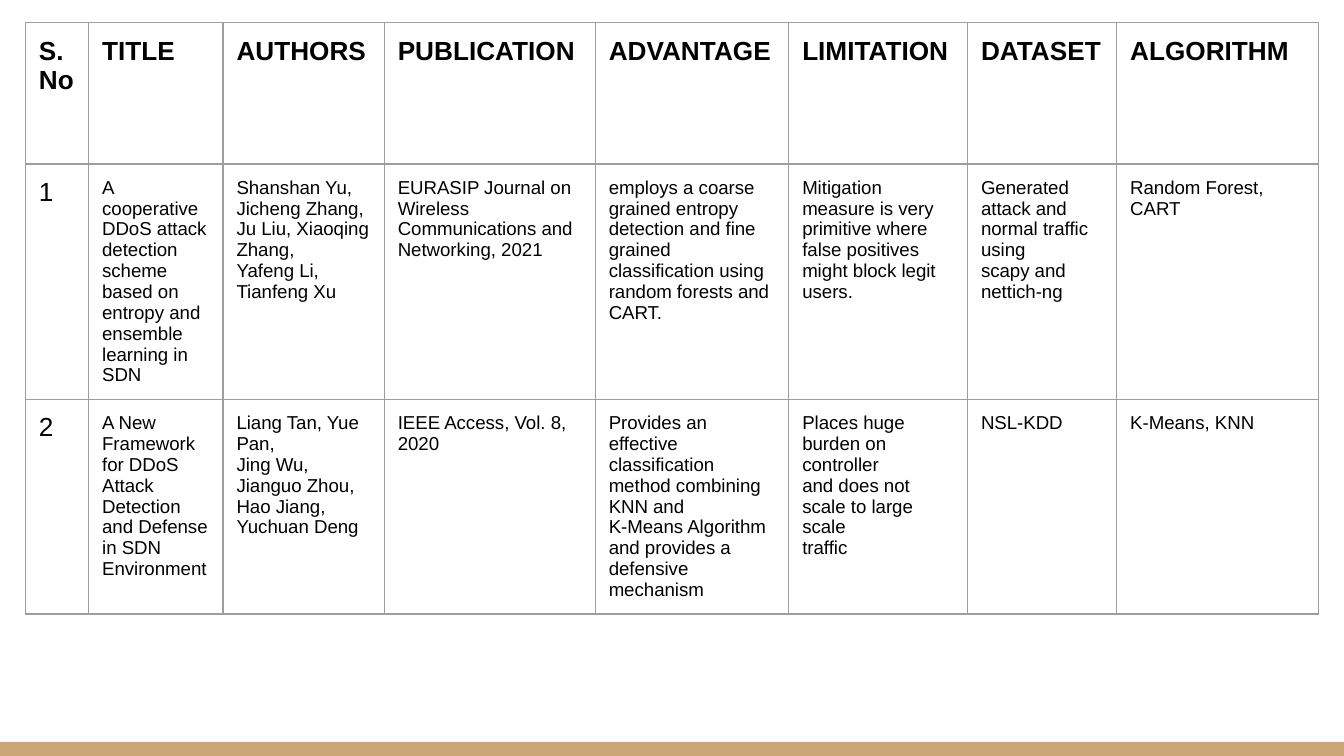
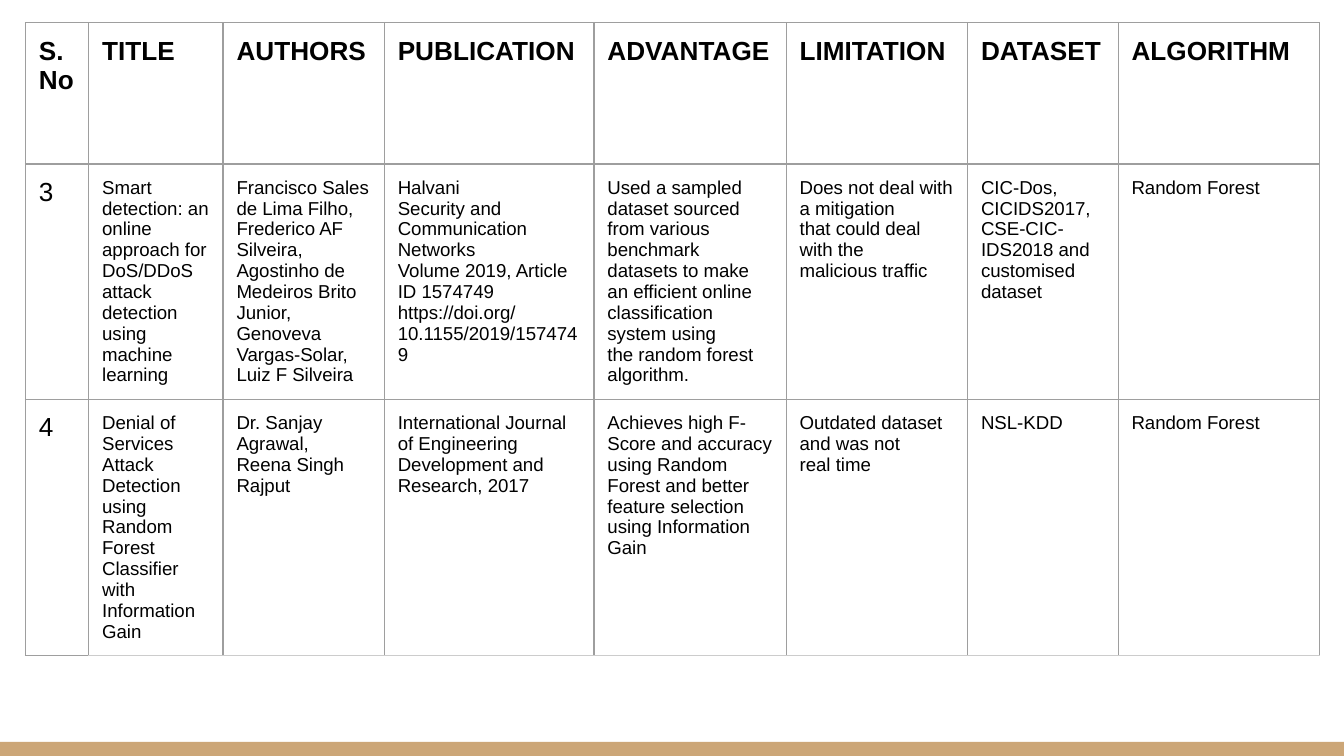
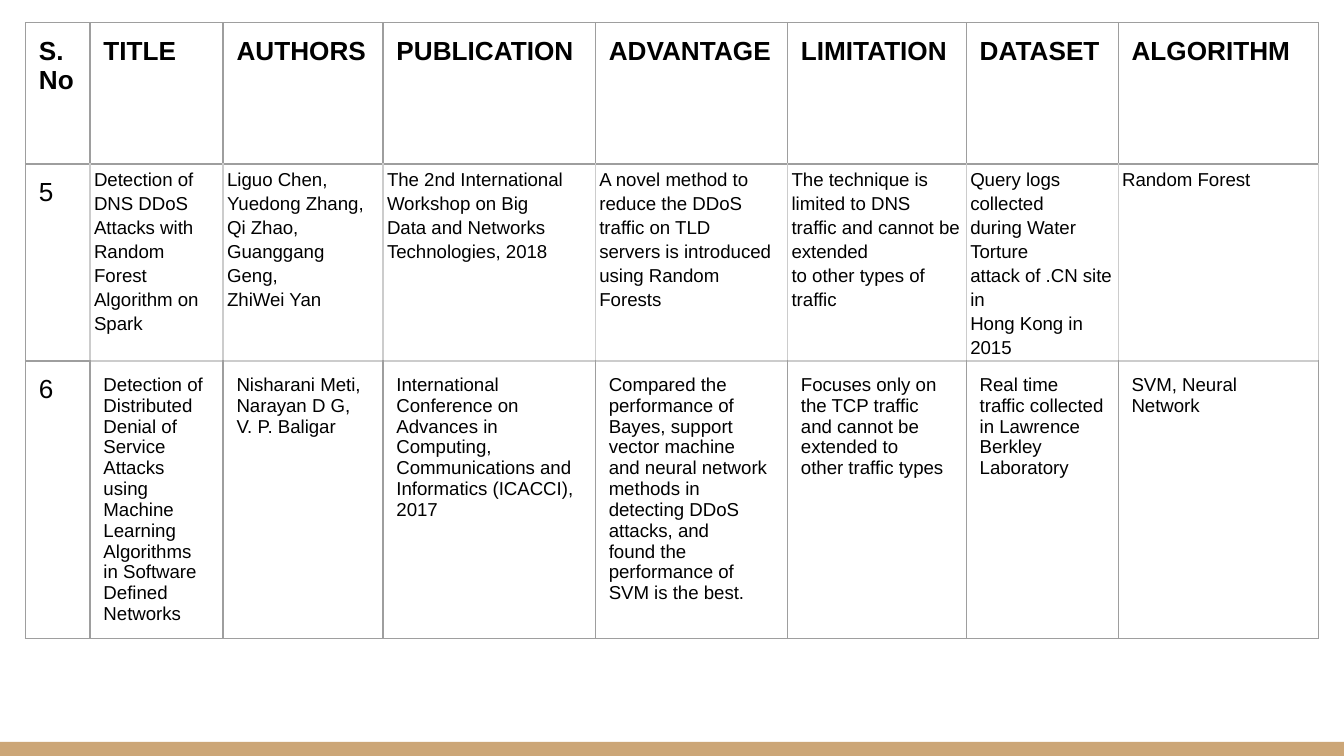
from lxml import etree
from pptx import Presentation
from pptx.dml.color import RGBColor
from pptx.enum.shapes import MSO_SHAPE
from pptx.enum.text import MSO_ANCHOR
from pptx.oxml.ns import qn
from pptx.util import Inches, Pt

RECTANGLE = MSO_SHAPE.RECTANGLE
TOP = MSO_ANCHOR.TOP

FONT = "Arial"
INK = "000000"
BAND = "CCA677"
BORDER = "9E9E9E"
LIGHT_BORDER = "CCCCCC"
BLANK_LAYOUT = 6
SLIDE_WIDTH = 10
SLIDE_HEIGHT = SLIDE_WIDTH * 9 / 16

HEADINGS = ["S.No", "TITLE", "AUTHORS", "PUBLICATION", "ADVANTAGE",
            "LIMITATION", "DATASET", "ALGORITHM"]
ROW_HEIGHTS = [1.05, 0.68, 0.68]

# light: sides drawn in the lighter border, by row, for all cells after the number
# snug: rows with narrow margins and wider line spacing
SURVEY = [
    dict(
        widths=[0.47, 1, 1.2, 1.57, 1.44, 1.33, 1.11, 1.5],
        papers=[
            ["1",
             "A cooperative DDoS attack detection\n"
             "scheme based on entropy and ensemble\nlearning in SDN",
             "Shanshan Yu, Jicheng Zhang,\nJu Liu, Xiaoqing Zhang,\n"
             "Yafeng Li, Tianfeng Xu",
             "EURASIP Journal on Wireless\nCommunications and Networking, 2021",
             "employs a coarse grained entropy detection and fine grained\n"
             "classification using random forests and CART.",
             "Mitigation measure is very\nprimitive where false positives\n"
             "might block legit users.",
             "Generated attack and\nnormal traffic using\nscapy and nettich-ng",
             "Random Forest,\nCART"],
            ["2",
             "A New Framework for DDoS Attack Detection\n"
             "and Defense in SDN Environment",
             "Liang Tan, Yue Pan,\nJing Wu, Jianguo Zhou,\nHao Jiang, Yuchuan Deng",
             "IEEE Access, Vol. 8, 2020",
             "Provides an effective classification method combining KNN and\n"
             "K-Means Algorithm and provides a defensive mechanism",
             "Places huge burden on controller\n"
             "and does not scale to large scale\ntraffic",
             "NSL-KDD",
             "K-Means, KNN"],
        ],
    ),
    dict(
        widths=[0.47, 1, 1.2, 1.56, 1.43, 1.35, 1.12, 1.5],
        light={2: "B"},
        papers=[
            ["3",
             "Smart detection: an online approach for DoS/DDoS\n"
             "attack detection using machine learning",
             "Francisco Sales de Lima Filho,\nFrederico AF Silveira,\n"
             "Agostinho de Medeiros Brito\nJunior, Genoveva Vargas-Solar,\n"
             "Luiz F Silveira",
             "Halvani\nSecurity and Communication Networks\n"
             "Volume 2019, Article ID 1574749\n"
             "https://doi.org/10.1155/2019/1574749",
             "Used a sampled dataset sourced from various benchmark\n"
             "datasets to make an efficient online classification system using\n"
             "the random forest algorithm.",
             "Does not deal with a mitigation\nthat could deal with the\n"
             "malicious traffic",
             "CIC-Dos, CICIDS2017,\nCSE-CIC-IDS2018 and\ncustomised dataset",
             "Random Forest"],
            ["4",
             "Denial of Services Attack Detection using Random\n"
             "Forest Classifier with Information Gain",
             "Dr. Sanjay Agrawal,\nReena Singh Rajput",
             "International Journal of Engineering\nDevelopment and Research, 2017",
             "Achieves high F-Score and accuracy\nusing Random Forest and better\n"
             "feature selection using Information Gain",
             "Outdated dataset and was not\nreal time",
             "NSL-KDD",
             "Random Forest"],
        ],
    ),
    dict(
        widths=[0.48, 0.99, 1.19, 1.58, 1.43, 1.33, 1.13, 1.49],
        light={1: "LRB"},
        snug=[1],
        papers=[
            ["5",
             "Detection of DNS DDoS Attacks with Random\nForest Algorithm on Spark",
             "Liguo Chen, Yuedong Zhang,\nQi Zhao, Guanggang Geng,\nZhiWei Yan",
             "The 2nd International Workshop on Big\n"
             "Data and Networks Technologies, 2018",
             "A novel method to reduce the DDoS traffic on TLD\n"
             "servers is introduced using Random Forests",
             "The technique is limited to DNS\ntraffic and cannot be extended\n"
             "to other types of traffic",
             "Query logs collected\nduring Water Torture\n"
             "attack of .CN site in\nHong Kong in 2015",
             "Random Forest"],
            ["6",
             "Detection of Distributed Denial of Service Attacks\n"
             "using Machine Learning Algorithms in Software\nDefined Networks",
             "Nisharani Meti, Narayan D G,\nV. P. Baligar",
             "International Conference on Advances in\n"
             "Computing, Communications and\nInformatics (ICACCI), 2017",
             "Compared the performance of Bayes, support vector machine\n"
             "and neural network methods in detecting DDoS attacks, and\n"
             "found the performance of SVM is the best.",
             "Focuses only on the TCP traffic\nand cannot be extended to\n"
             "other traffic types",
             "Real time traffic collected\nin Lawrence Berkley\nLaboratory",
             "SVM, Neural Network"],
        ],
    ),
]


def rgb(value):
    return RGBColor.from_string(value)


def write(frame, text, size=10, bold=False, color=INK, spacing=None):
    """Fill a text frame, one paragraph for each line of text."""
    for index, line in enumerate(text.split("\n")):
        paragraph = frame.add_paragraph() if index else frame.paragraphs[0]
        if spacing:
            paragraph.line_spacing = spacing
        run = paragraph.add_run()
        run.text = line
        run.font.name = FONT
        run.font.size = Pt(size)
        run.font.bold = bold
        run.font.color.rgb = rgb(color)


def set_borders(cell, light_sides):
    properties = cell._tc.get_or_add_tcPr()
    for index, side in enumerate("LRTB"):
        line = etree.Element(qn(f"a:ln{side}"), w=str(Pt(0.75)))
        fill = etree.SubElement(line, qn("a:solidFill"))
        color = LIGHT_BORDER if side in light_sides else BORDER
        etree.SubElement(fill, qn("a:srgbClr"), val=color)
        properties.insert(index, line)


def light_sides_of(row, column, light):
    """Lighter sides of a cell, including those shared with its neighbours."""
    if column == 0:
        return "R" if "L" in light.get(row, "") else ""
    shared_top = "T" if "B" in light.get(row - 1, "") else ""
    return light.get(row, "") + shared_top


class Deck:
    def __init__(self):
        self.presentation = Presentation()
        self.presentation.slide_width = Inches(SLIDE_WIDTH)
        self.presentation.slide_height = Inches(SLIDE_HEIGHT)
        self.slide = None

    def new_slide(self):
        layout = self.presentation.slide_layouts[BLANK_LAYOUT]
        self.slide = self.presentation.slides.add_slide(layout)
        self.slide.background.fill.solid()
        self.slide.background.fill.fore_color.rgb = rgb("FFFFFF")
        self.bottom_band()

    def bottom_band(self):
        band = self.slide.shapes.add_shape(
            RECTANGLE, Inches(0), Inches(5.52), Inches(SLIDE_WIDTH), Inches(0.11))
        band.shadow.inherit = False
        band.fill.solid()
        band.fill.fore_color.rgb = rgb(BAND)
        band.line.fill.background()

    def cell(self, cell, text, light_sides="", snug=False, **text_format):
        cell.fill.background()
        set_borders(cell, light_sides)
        cell.vertical_anchor = TOP
        cell.margin_left = cell.margin_right = Inches(0.03 if snug else 0.1)
        cell.margin_top = cell.margin_bottom = Inches(0.02 if snug else 0.1)
        write(cell.text_frame, text, spacing=1.15 if snug else None, **text_format)

    def survey_table(self, widths, papers, light={}, snug=()):
        rows = [HEADINGS, *papers]
        table = self.slide.shapes.add_table(
            len(rows), len(widths), Inches(0.19), Inches(0.17),
            Inches(sum(widths)), Inches(sum(ROW_HEIGHTS))).table
        table.first_row = table.horz_banding = False
        for column, width in zip(table.columns, widths):
            column.width = Inches(width)
        for row, height in zip(table.rows, ROW_HEIGHTS):
            row.height = Inches(height)
        for r, texts in enumerate(rows):
            for c, text in enumerate(texts):
                self.cell(table.cell(r, c), text,
                          light_sides=light_sides_of(r, c, light),
                          snug=r in snug and c > 0,
                          size=14 if r == 0 or c == 0 else 10,
                          bold=r == 0)


def main():
    deck = Deck()
    for page in SURVEY:
        deck.new_slide()
        deck.survey_table(**page)
    deck.presentation.save("out.pptx")


if __name__ == "__main__":
    main()
